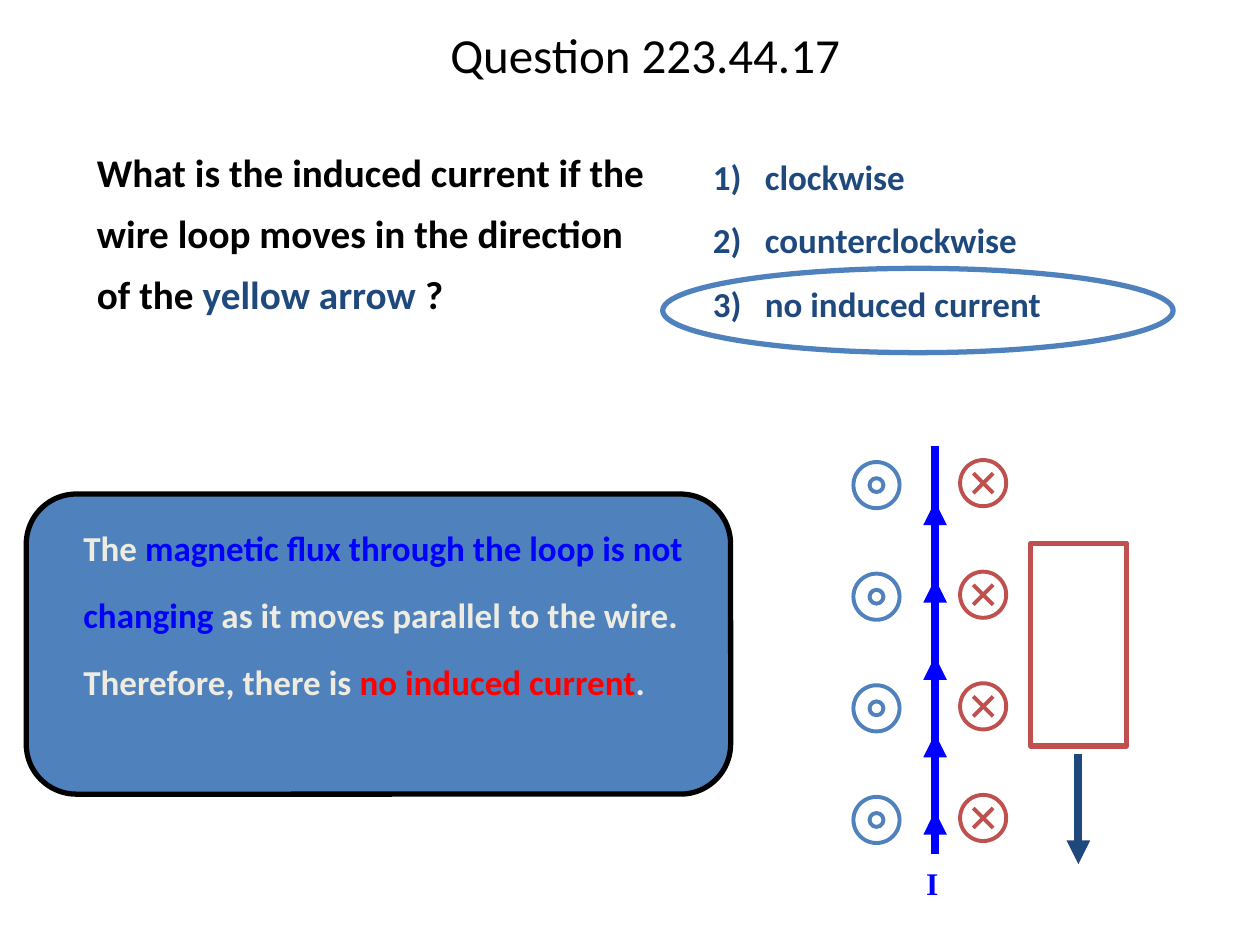
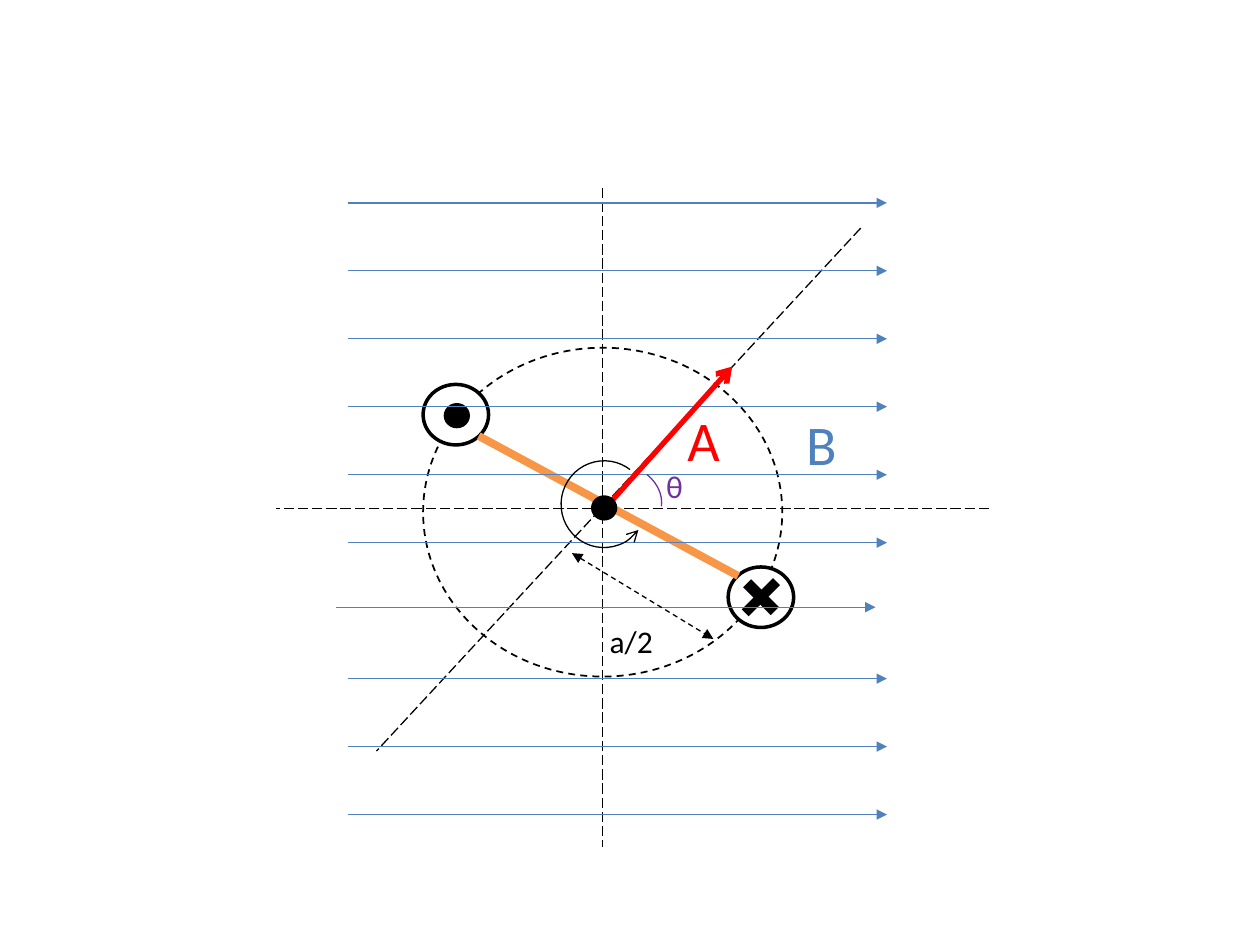
from lxml import etree
from pptx import Presentation
from pptx.dml.color import RGBColor
from pptx.enum.dml import MSO_LINE
from pptx.enum.shapes import MSO_CONNECTOR, MSO_SHAPE
from pptx.enum.text import MSO_ANCHOR, MSO_AUTO_SIZE, PP_ALIGN
from pptx.oxml.ns import qn
from pptx.util import Cm, Pt

OVAL, RECTANGLE = MSO_SHAPE.OVAL, MSO_SHAPE.RECTANGLE
ROUNDED, ARC = MSO_SHAPE.ROUNDED_RECTANGLE, MSO_SHAPE.ARC
STRAIGHT = MSO_CONNECTOR.STRAIGHT
DASH, LONG_DASH = MSO_LINE.DASH, MSO_LINE.LONG_DASH
CENTER, MIDDLE = PP_ALIGN.CENTER, MSO_ANCHOR.MIDDLE
TITLE_AND_CONTENT, BLANK = 1, 6

BLACK, WHITE, CREAM = "000000", "FFFFFF", "EEECE1"
BLUE, NAVY, WIRE_BLUE = "4F81BD", "1F497D", "0000FF"
BRICK, RED, ORANGE, PURPLE = "C0504D", "FF0000", "F79646", "7030A0"
FONT, SERIF = "Calibri", "Times New Roman"

# Content: lengths in centimetres, boxes as left, top, width, height
TITLE = [("Question 223.44.17", BLACK)]
QUESTION = [
    ("What is the induced current if the wire loop moves in the direction of the ", BLACK),
    ("yellow arrow ", NAVY),
    ("?", BLACK),
]
OPTIONS = ["clockwise", "counterclockwise", "no induced current"]
EXPLANATION = [
    ("The ", CREAM),
    ("magnetic flux through the loop is not changing", WIRE_BLUE),
    (" as it moves parallel to the wire. Therefore, there is ", CREAM),
    ("no induced current", RED),
    (".", CREAM),
]
MARKER_ROWS, MARKER_PITCH, MARKER_SIZE = 4, 2.25, 0.93
DOT_X, DOT_TOP, DOT_SIZE = 17.67, 9.78, 0.28
CROSS_X, CROSS_TOP, CROSS_ARM = 19.82, 9.74, 0.2
WIRE_X, WIRE_TOP, WIRE_TIP, WIRE_BOTTOM = 18.85, 8.99, 10.11, 17.22
WIRE_ARROWS, WIRE_PITCH, WIRE_ARROW_LENGTH = 5, 1.56, 1.79

FIELD_LINES, FIELD_TOP, FIELD_PITCH = 10, 4.09, 1.37
FIELD_LEFT, FIELD_RIGHT = 7.01, 17.88
FIELD_SHIFTS = {6: (-0.23, -0.07)}
COIL_SIZE, POINT_SIZE = (1.32, 1.22), (0.53, 0.51)
COIL_OUT, COIL_IN, PIVOT = (9.19, 8.36), (15.34, 12.04), (12.18, 10.24)
COIL_CROSS = [(0.89, 0.2, 315.1), (0.79, 0.23, 45.1)]
AXES = [
    (12.14, 3.78, 12.14, 17.07),
    (19.94, 10.25, 5.56, 10.25),
    (17.35, 4.6, 7.59, 15.14),
]
LABELS = [
    ("a/2", (12.04, 12.42, 1.98, 1.35), 18, BLACK),
    ("B", (16, 8.13, 1.63, 2.13), 32, BLUE),
    ("θ", (13.18, 9.3, 1.22, 1.35), 18, PURPLE),
    ("A", (13.61, 8.05, 1.17, 1.63), 32, RED),
]


def colour(code):
    return RGBColor.from_string(code)


def assign(target, values):
    for name, value in values.items():
        setattr(target, name, value)


def style_line(shape, code, weight, dash=None, head=None, tail=None):
    """Set the outline; head and tail name the arrowheads at start and end."""
    shape.line.color.rgb = colour(code)
    shape.line.width = Pt(weight)
    if dash:
        shape.line.dash_style = dash
    outline = shape.element.spPr.find(qn("a:ln"))
    for tag, kind in (("a:headEnd", head), ("a:tailEnd", tail)):
        if kind:
            etree.SubElement(outline, qn(tag), type=kind)


def add_line(page, ends, code, weight, **style):
    line = page.shapes.add_connector(STRAIGHT, *map(Cm, ends))
    style_line(line, code, weight, **style)
    etree.SubElement(line.element.spPr, qn("a:effectLst"))


def add_figure(page, kind, box, fill=None, line=None, rotation=0, adjust=(), **style):
    """Add a preset shape; line is a pair of colour and weight."""
    shape = page.shapes.add_shape(kind, *map(Cm, box))
    shape.shadow.inherit = False
    shape.rotation = rotation
    for index, value in enumerate(adjust):
        shape.adjustments[index] = value
    if fill:
        shape.fill.solid()
        shape.fill.fore_color.rgb = colour(fill)
    else:
        shape.fill.background()
    if line:
        style_line(shape, *line, **style)
    else:
        shape.line.fill.background()


def around(center, size):
    """Box of the given size about its center."""
    return (center[0] - size[0] / 2, center[1] - size[1] / 2, *size)


def place(shape, box):
    assign(shape, dict(zip(("left", "top", "width", "height"), map(Cm, box))))


def write(shape, paragraphs, size, bold=False, font=FONT, indent=0, hanging=0,
          bullet="a:buNone", frame_format=None, **para_format):
    """Fill a text frame; each paragraph is a list of text and colour pairs."""
    frame = shape.text_frame
    assign(frame, {"word_wrap": True, "auto_size": MSO_AUTO_SIZE.NONE, **(frame_format or {})})
    for index, spans in enumerate(paragraphs):
        para = frame.add_paragraph() if index else frame.paragraphs[0]
        assign(para, para_format)
        properties = para._p.get_or_add_pPr()
        properties.set("marL", str(Cm(indent)))
        properties.set("indent", str(Cm(-hanging)))
        mark = etree.SubElement(properties, qn(bullet))
        if bullet == "a:buAutoNum":
            mark.set("type", "arabicParenR")
        for text, code in spans:
            span = para.add_run()
            span.text = text
            assign(span.font, {"name": font, "size": Pt(size), "bold": bold})
            span.font.color.rgb = colour(code)


def add_text(page, box, paragraphs, size, **text_format):
    write(page.shapes.add_textbox(*map(Cm, box)), paragraphs, size, **text_format)


def draw_wire(page):
    for index in range(WIRE_ARROWS):
        tip = WIRE_TIP + index * WIRE_PITCH
        start = min(tip + WIRE_ARROW_LENGTH, WIRE_BOTTOM)
        add_line(page, (WIRE_X, start, WIRE_X, tip), WIRE_BLUE, 4.5, tail="triangle")
    add_line(page, (WIRE_X, 10.8, WIRE_X, WIRE_TOP), WIRE_BLUE, 4.5)
    add_text(page, (18.42, WIRE_BOTTOM, 0.84, 1.37), [[("I", WIRE_BLUE)]], 18,
             bold=True, font=SERIF, line_spacing=1.11)


def draw_field_markers(page):
    ring = (MARKER_SIZE, MARKER_SIZE)
    for row in range(MARKER_ROWS):
        dot = (DOT_X, DOT_TOP + row * MARKER_PITCH)
        for size in (ring, (DOT_SIZE, DOT_SIZE)):
            add_figure(page, OVAL, around(dot, size), WHITE, (BLUE, 2.25))
        y = CROSS_TOP + row * MARKER_PITCH
        add_figure(page, OVAL, around((CROSS_X, y), ring), WHITE, (BRICK, 2.25))
        for rise in (CROSS_ARM, -CROSS_ARM):
            add_line(page, (CROSS_X - CROSS_ARM, y + rise, CROSS_X + CROSS_ARM, y - rise),
                     BRICK, 2.25)


def build_question(deck):
    page = deck.slides.add_slide(deck.slide_layouts[TITLE_AND_CONTENT])
    title, body = page.placeholders
    place(title, (1.83, 0, 22.35, 2.34))
    write(title, [TITLE], 28, frame_format={"vertical_anchor": MIDDLE},
          alignment=CENTER, line_spacing=0.9)
    place(body, (0.58, 2.57, 12.73, 5.33))
    write(body, [QUESTION], 22.4, bold=True, indent=1.12, line_spacing=1.3)
    add_figure(page, ROUNDED, (0.53, 9.96, 14.2, 6.05), BLUE, (BLACK, 3))
    add_text(page, (0.64, 9.98, 13.77, 5.82), [EXPLANATION], 20,
             bold=True, indent=0.79, line_spacing=1.6)
    add_text(page, (14.12, 2.92, 10.46, 3.89), [[(option, NAVY)] for option in OPTIONS], 20,
             bold=True, indent=1.05, hanging=1.05, bullet="a:buAutoNum",
             line_spacing=1.1, space_before=Pt(10))
    add_figure(page, OVAL, (13.36, 5.41, 10.29, 1.7), line=(BLUE, 3))
    draw_wire(page)
    add_figure(page, RECTANGLE, (20.78, 10.95, 1.93, 4.09), WHITE, (BRICK, 3))
    add_line(page, (21.74, 15.19, 21.74, 17.42), NAVY, 4.5, tail="triangle")
    draw_field_markers(page)


def draw_coil(page):
    add_figure(page, OVAL, (8.53, 7.01, 7.24, 6.63), line=(BLACK, 1), dash=DASH)
    for center in (COIL_OUT, COIL_IN):
        add_figure(page, OVAL, around(center, COIL_SIZE), WHITE, (BLACK, 2))
    add_figure(page, OVAL, around((9.21, 8.38), POINT_SIZE), BLACK)
    add_line(page, (9.65, 8.79, 14.88, 11.61), ORANGE, 4.5)
    for width, height, angle in COIL_CROSS:
        add_figure(page, RECTANGLE, around(COIL_IN, (width, height)), BLACK, rotation=angle)


def draw_field(page):
    for index in range(FIELD_LINES):
        dx, dy = FIELD_SHIFTS.get(index, (0, 0))
        y = FIELD_TOP + index * FIELD_PITCH + dy
        add_line(page, (FIELD_LEFT + dx, y, FIELD_RIGHT + dx, y), BLUE, 0.75, tail="triangle")


def build_rotating_coil(deck):
    page = deck.slides.add_slide(deck.slide_layouts[BLANK])
    for axis in AXES:
        add_line(page, axis, BLACK, 0.75, dash=LONG_DASH)
    draw_coil(page)
    draw_field(page)
    add_line(page, (11.53, 11.15, 14.38, 12.88), BLACK, 0.75,
             dash=DASH, head="triangle", tail="triangle")
    add_figure(page, ARC, (11.3, 9.3, 1.75, 1.73), line=(BLACK, 0.75), rotation=99.8,
               adjust=(178.3, 124.3), head="arrow")
    add_figure(page, ARC, (11.23, 9.32, 2.11, 1.63), line=(PURPLE, 0.75),
               adjust=(193.68, 2.37))
    add_line(page, (12.32, 10.11, 14.76, 7.39), RED, 3, tail="arrow")
    add_figure(page, OVAL, around(PIVOT, POINT_SIZE), BLACK)
    for text, box, size, code in LABELS:
        add_text(page, box, [[(text, code)]], size)


def main():
    deck = Presentation()
    assign(deck, {"slide_width": Cm(25.4), "slide_height": Cm(19.05)})
    build_question(deck)
    build_rotating_coil(deck)
    deck.save("out.pptx")


if __name__ == "__main__":
    main()
